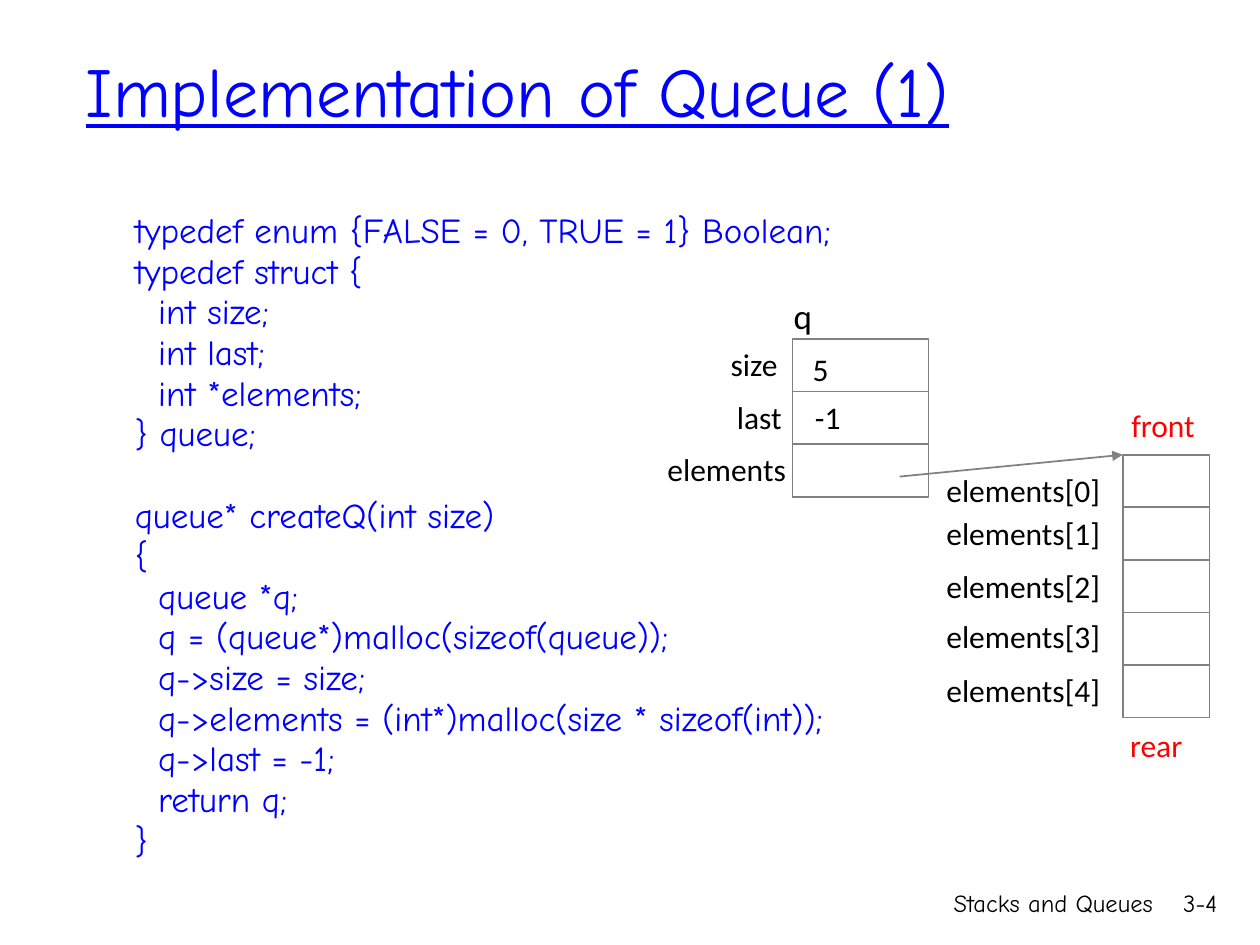
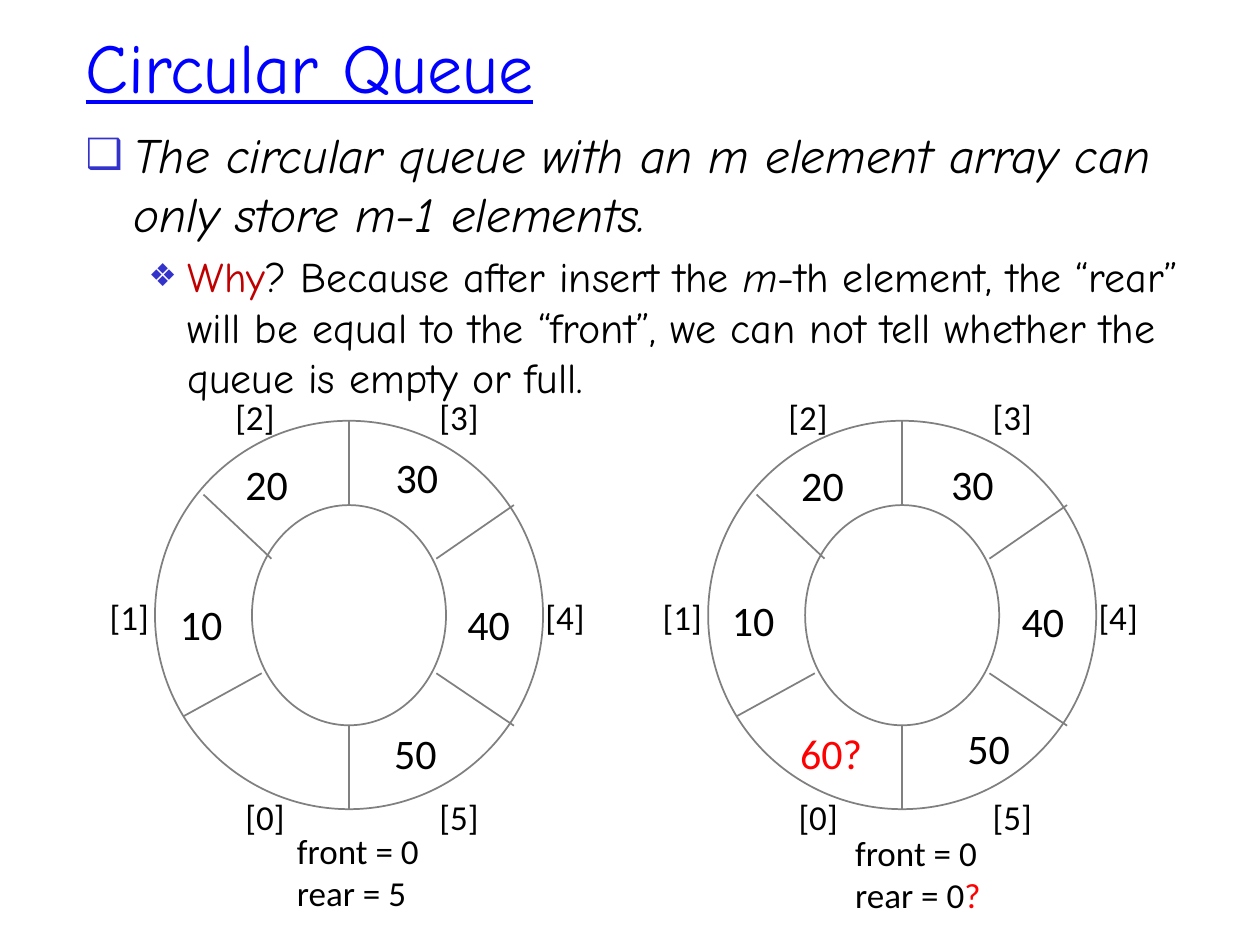
from dataclasses import dataclass

from lxml import etree
from pptx import Presentation
from pptx.dml.color import RGBColor
from pptx.enum.shapes import MSO_CONNECTOR, MSO_SHAPE
from pptx.enum.text import MSO_ANCHOR, MSO_AUTO_SIZE, PP_ALIGN
from pptx.oxml.ns import qn
from pptx.util import Inches, Pt

STRAIGHT = MSO_CONNECTOR.STRAIGHT
RECTANGLE, OVAL = MSO_SHAPE.RECTANGLE, MSO_SHAPE.OVAL
MIDDLE, TOP = MSO_ANCHOR.MIDDLE, MSO_ANCHOR.TOP
FIT_SHAPE, NO_FIT = MSO_AUTO_SIZE.SHAPE_TO_FIT_TEXT, MSO_AUTO_SIZE.NONE
LEFT, RIGHT = PP_ALIGN.LEFT, PP_ALIGN.RIGHT

COLORS = {
    "text": "000000",
    "blue": "0000FF",
    "bullet": "3333CC",
    "red": "FF0000",
    "why": "C00000",
    "line": "808080",
}
HEADING_FONT, DIAGRAM_FONT = "Comic Neue", "Calibri"

CODE = """typedef enum {FALSE = 0, TRUE = 1} Boolean;
typedef struct {
  int size;
  int last;
  int *elements;
} queue;

queue* createQ(int size)
{
  queue *q;
  q = (queue*)malloc(sizeof(queue));
  q->size = size;
  q->elements = (int*)malloc(size * sizeof(int));
  q->last = -1;
  return q;
}"""

SPOKES = [
    (50, 0, 50, 21.7),
    (50, 78.3, 50, 100),
    (12.5, 19, 30, 35.5),
    (72.5, 65, 92.5, 78.5),
    (7.5, 76, 27.5, 65),
    (72.5, 35.5, 92.5, 21.7),
]
INDEX_SPOTS = [(20.1, 94.8), (-14.9, 43.5), (17.5, -8.1), (70.1, -8.1), (97.4, 43.5), (70.1, 94.8)]


@dataclass
class Box:
    left: float
    top: float
    width: float
    height: float

    def point(self, x, y):
        return self.left + self.width * x / 100, self.top + self.height * y / 100

    def inner(self, x, y, width, height):
        return Box(*self.point(x, y), self.width * width / 100, self.height * height / 100)

    def rows(self, count):
        return [self.inner(0, 100 * row / count, 100, 100 / count) for row in range(count)]

    def lengths(self):
        return [Inches(value) for value in (self.left, self.top, self.width, self.height)]


PAGE = Box(0, 0, 10, 7.5)


def rgb(name):
    return RGBColor.from_string(COLORS[name])


def format_run(run, font, size, color="text", italic=False):
    run.font.name = font
    run.font.size = Pt(size)
    run.font.color.rgb = rgb(color)
    run.font.italic = italic


def add_runs(paragraph, font, size, pieces):
    for text, color, italic in pieces:
        run = paragraph.add_run()
        run.text = text
        format_run(run, font, size, color, italic)


def add_label(slide, text, point, width, size=18, color="text"):
    height = (text.count("\n") + 1) * size * 1.2 / 72 + 0.1
    shape = slide.shapes.add_textbox(*Box(*point, width, height).lengths())
    frame = shape.text_frame
    frame.word_wrap = False
    frame.auto_size = FIT_SHAPE
    frame.text = text
    for paragraph in frame.paragraphs:
        for run in paragraph.runs:
            format_run(run, DIAGRAM_FONT, size, color)
    return frame


def add_outline(slide, kind, box):
    shape = slide.shapes.add_shape(kind, *box.lengths())
    shape.shadow.inherit = False
    shape.fill.background()
    shape.line.color.rgb = rgb("line")
    shape.line.width = Pt(1)


def add_line(slide, start, end, arrow=False):
    connector = slide.shapes.add_connector(STRAIGHT, *[Inches(value) for value in (*start, *end)])
    connector.line.color.rgb = rgb("line")
    connector.line.width = Pt(1)
    properties = connector._element.spPr
    if arrow:
        etree.SubElement(properties.find(qn("a:ln")), qn("a:tailEnd"), type="triangle")
    etree.SubElement(properties, qn("a:effectLst"))


def move_to(shape, box):
    shape.left, shape.top, shape.width, shape.height = box.lengths()


def add_slide(presentation, title, title_box, body_box):
    slide = presentation.slides.add_slide(presentation.slide_layouts[1])
    heading = slide.shapes.title
    move_to(heading, title_box)
    frame = heading.text_frame
    frame.text = title
    frame.vertical_anchor = MIDDLE
    frame.auto_size = NO_FIT
    paragraph = frame.paragraphs[0]
    paragraph.alignment = LEFT
    format_run(paragraph.runs[0], HEADING_FONT, 40, "blue")
    paragraph.runs[0].font.underline = True
    body = slide.placeholders[1]
    move_to(body, body_box)
    body.text_frame.auto_size = NO_FIT
    body.text_frame.vertical_anchor = TOP
    return slide, body.text_frame


def set_bullet(paragraph, margin, indent, character=None, percent=100):
    properties = paragraph._p.get_or_add_pPr()
    properties.set("marL", str(Inches(margin)))
    properties.set("indent", str(Inches(indent)))
    if character is None:
        etree.SubElement(properties, qn("a:buNone"))
        return
    color = etree.SubElement(properties, qn("a:buClr"))
    etree.SubElement(color, qn("a:srgbClr"), val=COLORS["bullet"])
    etree.SubElement(properties, qn("a:buSzPct"), val=str(percent * 1000))
    etree.SubElement(properties, qn("a:buChar"), char=character)


def fill_code(frame):
    blocks = [block.split("\n") for block in CODE.split("\n\n")]
    frame.text = "\n".join(line for block in blocks for line in block)
    second_block = len(blocks[0])
    for number, paragraph in enumerate(frame.paragraphs):
        paragraph.level = 1
        set_bullet(paragraph, 0.81, -0.31)
        paragraph.line_spacing = 0.8
        paragraph.space_before = Pt({0: 0, second_block: 27.2}.get(number, 4))
        format_run(paragraph.runs[0], HEADING_FONT, 20, "blue")


def fill_explanation(frame):
    claim = frame.paragraphs[0]
    set_bullet(claim, 0.38, -0.38, "❑", 85)
    claim.space_before = Pt(0)
    sentence = "The circular queue with an m element array can only store m-1 elements."
    add_runs(claim, HEADING_FONT, 28, [(sentence, "text", True)])
    reason = frame.add_paragraph()
    reason.level = 1
    set_bullet(reason, 0.81, -0.31, "❖", 75)
    reason.space_before = Pt(4.8)
    add_runs(reason, HEADING_FONT, 24, [
        ("Why", "why", False),
        ("? Because after insert the ", "text", False),
        ("m", "text", True),
        ("-th element, the “rear” will be equal to the “front”, we can not tell whether "
         "the queue is empty or full.", "text", False),
    ])


def add_footer(slide, box):
    for text, x, width in [("Stacks and Queues", 0, 86.14), ("3-4", 81.52, 18.48)]:
        shape = slide.shapes.add_textbox(*box.inner(x, 0, width, 100).lengths())
        shape.text_frame.word_wrap = True
        shape.text_frame.text = text
        paragraph = shape.text_frame.paragraphs[0]
        paragraph.alignment = RIGHT
        format_run(paragraph.runs[0], HEADING_FONT, 14)


def add_record(slide, box):
    fields = [("size", -54.6, 0.65), ("last", -50, 0.59), ("elements", -101, 1.23)]
    for row, (name, x, width) in zip(box.rows(len(fields)), fields):
        add_outline(slide, RECTANGLE, row)
        add_label(slide, name, row.point(x, 0), width)
    add_label(slide, "q", box.point(-8.3, -32), 0.36, 20)
    add_label(slide, "5", box.point(5.6, 3.2), 0.34)
    add_label(slide, "-1", box.point(7.4, 33.6), 0.43)


def add_array(slide, box):
    label_tops = [3.8, 20.1, 40.3, 59.5, 80.1]
    for index, (row, y) in enumerate(zip(box.rows(len(label_tops)), label_tops)):
        add_outline(slide, RECTANGLE, row)
        add_label(slide, f"elements[{index}]", box.point(-217, y), 1.51)
    add_label(slide, "front", box.point(-4.3, -21.1), 0.71, color="red")
    add_label(slide, "rear", box.point(-5.8, 100.7), 0.65, color="red")


def add_ring(slide, box, values, caption, caption_spot, caption_width):
    add_outline(slide, OVAL, box)
    add_outline(slide, OVAL, box.inner(25, 21.7, 50, 56.7))
    for x1, y1, x2, y2 in SPOKES:
        add_line(slide, box.point(x1, y1), box.point(x2, y2))
    for index, spot in enumerate(INDEX_SPOTS):
        add_label(slide, f"[{index}]", box.point(*spot), 0.51, 20)
    for value, spot in values.items():
        doubtful = value.endswith("?")
        add_label(slide, value, box.point(*spot), 0.76 if doubtful else 0.58, 24,
                  "red" if doubtful else "text")
    return add_label(slide, caption, box.point(*caption_spot), caption_width, 20)


def build_implementation(presentation):
    slide, body = add_slide(presentation, "Implementation of Queue (1)",
                            PAGE.inner(5.8, 3.33, 85, 12.27), PAGE.inner(4.7, 22.27, 69.9, 71.33))
    fill_code(body)
    record = PAGE.inner(62.9, 35.87, 10.8, 16.7)
    array = PAGE.inner(89.1, 48.13, 6.9, 27.8)
    add_record(slide, record)
    add_array(slide, array)
    add_line(slide, record.point(78.7, 87.2), array.point(0, 0), arrow=True)
    add_footer(slide, PAGE.inner(60.8, 93.33, 36.8, 6.67))


def build_circular(presentation):
    slide, body = add_slide(presentation, "Circular Queue",
                            PAGE.inner(5.8, 0.8, 85, 12.27), PAGE.inner(5.8, 12.53, 91.8, 67.73))
    fill_explanation(body)
    stored = {"10": (3.2, 44.2), "20": (20.1, 8.1), "30": (58.8, 6.2),
              "40": (77.3, 44.2), "50": (58.4, 77.3)}
    overfull = {"10": (2.9, 43.2), "20": (20.8, 8.4), "30": (59.4, 8.1),
                "40": (77.6, 43.5), "50": (63.6, 76), "60?": (20.5, 77.3)}
    add_ring(slide, PAGE.inner(12.3, 44.53, 30.8, 41.1), stored,
             "front = 0\nrear = 5", (33.4, 103.6), 1.23)
    caption = add_ring(slide, PAGE.inner(56.2, 44.53, 30.8, 41.1), overfull,
                       "front = 0\nrear = 0", (34.7, 104.2), 1.33)
    add_runs(caption.paragraphs[1], DIAGRAM_FONT, 20, [("?", "red", False)])


def main():
    presentation = Presentation()
    presentation.slide_width = Inches(PAGE.width)
    presentation.slide_height = Inches(PAGE.height)
    build_implementation(presentation)
    build_circular(presentation)
    presentation.save("out.pptx")


if __name__ == "__main__":
    main()
